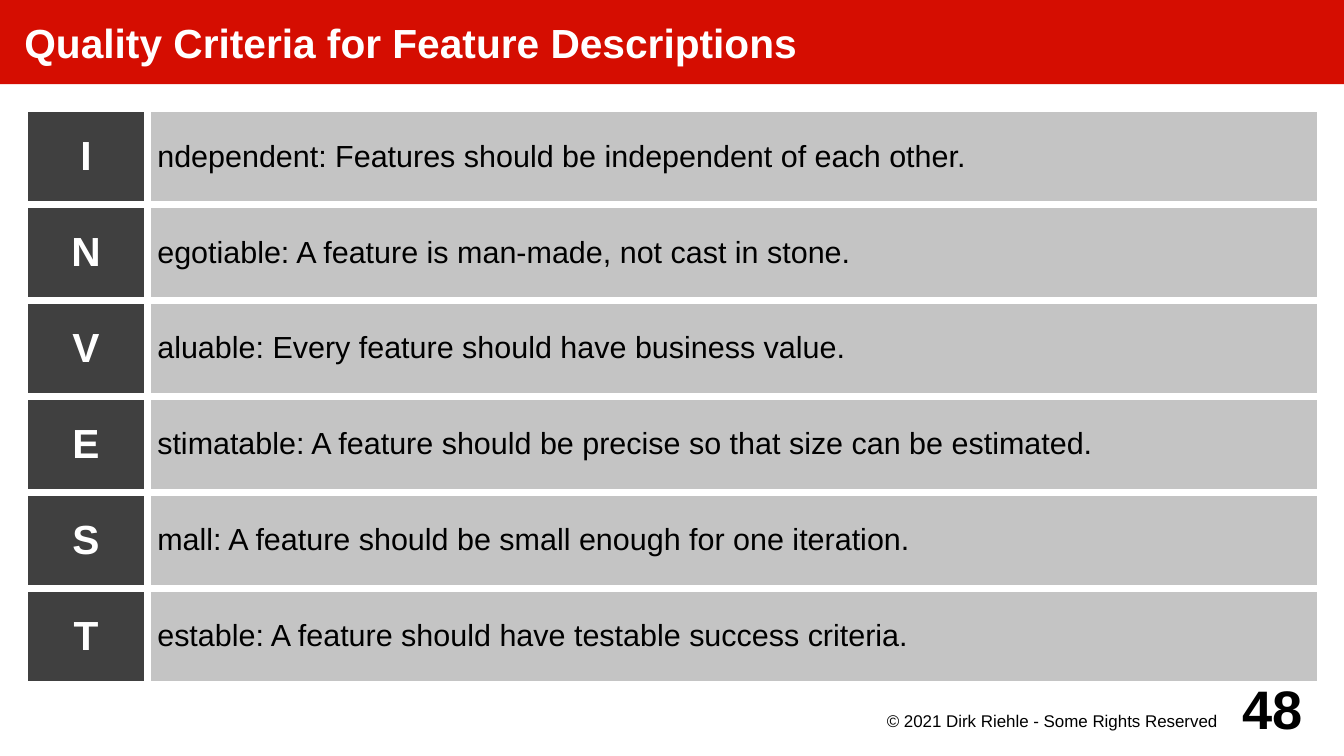
from lxml.etree import SubElement
from pptx import Presentation
from pptx.dml.color import RGBColor
from pptx.enum.text import MSO_ANCHOR as Anchor, MSO_AUTO_SIZE as AutoSize, PP_ALIGN as Align
from pptx.oxml.ns import qn
from pptx.util import Inches, Pt

COLORS = {"red": "D50D01", "dark": "404040", "light": "C4C4C4", "white": "FFFFFF", "black": "000000"}
CRITERIA = [
    ("I", "ndependent: Features should be independent of each other."),
    ("N", "egotiable: A feature is man-made, not cast in stone."),
    ("V", "aluable: Every feature should have business value."),
    ("E", "stimatable: A feature should be precise so that size can be estimated."),
    ("S", "mall: A feature should be small enough for one iteration."),
    ("T", "estable: A feature should have testable success criteria."),
]
ROW_HEIGHT = 4.72 / len(CRITERIA)
COLUMN_WIDTHS = [1.01, 9.62]


def write_text(frame, text, size, color, bold, align):
    paragraph = frame.paragraphs[0]
    paragraph.alignment = align
    run = paragraph.add_run()
    run.text = text
    for name, value in {"name": "Arial", "size": Pt(size), "bold": bold}.items():
        setattr(run.font, name, value)
    run.font.color.rgb = RGBColor.from_string(COLORS[color])


def set_frame(frame, anchor, insets):
    frame.word_wrap = True
    frame.auto_size = AutoSize.NONE
    frame.vertical_anchor = anchor
    for side, inset in zip(("left", "top", "right", "bottom"), insets):
        setattr(frame, f"margin_{side}", Inches(inset))


presentation = Presentation()
presentation.slide_width = Inches(11.02)
presentation.slide_height = Inches(6.2)
slide = presentation.slides.add_slide(presentation.slide_layouts[5])

title = slide.shapes.title
for name, value in {"left": 0, "top": 0, "width": 11.02, "height": 0.69}.items():
    setattr(title, name, Inches(value))
title.fill.solid()
title.fill.fore_color.rgb = RGBColor.from_string(COLORS["red"])
set_frame(title.text_frame, Anchor.MIDDLE, (0.2, 0, 0, 0))
write_text(title.text_frame, "Quality Criteria for Feature Descriptions", 24, "white", True, Align.LEFT)

table = slide.shapes.add_table(
    len(CRITERIA), 2, Inches(0.2), Inches(0.89), Inches(sum(COLUMN_WIDTHS)), Inches(4.72)
).table
table.first_row = False
table.horz_banding = False
for column, width in zip(table.columns, COLUMN_WIDTHS):
    column.width = Inches(width)

CELL_FORMATS = [
    ("dark", {"size": 24, "color": "white", "bold": True, "align": Align.CENTER}),
    ("light", {"size": 18, "color": "black", "bold": False, "align": Align.LEFT}),
]
for row_index, criterion in enumerate(CRITERIA):
    table.rows[row_index].height = Inches(ROW_HEIGHT)
    for column_index, (fill, text_format) in enumerate(CELL_FORMATS):
        cell = table.cell(row_index, column_index)
        cell.vertical_anchor = Anchor.MIDDLE
        for side, inset in {"left": 0.08, "top": 0.05, "right": 0.08, "bottom": 0.05}.items():
            setattr(cell, f"margin_{side}", Inches(inset))
        write_text(cell.text_frame, criterion[column_index], **text_format)
        properties = cell._tc.get_or_add_tcPr()
        for edge in ("lnL", "lnR", "lnT", "lnB"):
            border = SubElement(properties, qn(f"a:{edge}"), w=str(Pt(4.54)))
            border_fill = SubElement(border, qn("a:solidFill"))
            SubElement(border_fill, qn("a:srgbClr"), val=COLORS["white"])
        cell.fill.solid()
        cell.fill.fore_color.rgb = RGBColor.from_string(COLORS[fill])

FOOTERS = [
    ("© 2021 Dirk Riehle - Some Rights Reserved", (7.09, 5.81, 3.15, 0.3), 10, False, Anchor.TOP, (0, 0.02, 0.08, 0)),
    ("48", (10.04, 5.51, 0.79, 0.59), 32, True, Anchor.MIDDLE, (0, 0, 0, 0)),
]
for text, place, size, bold, anchor, insets in FOOTERS:
    box = slide.shapes.add_textbox(*map(Inches, place))
    set_frame(box.text_frame, anchor, insets)
    write_text(box.text_frame, text, size, "black", bold, Align.CENTER)

presentation.save("out.pptx")
